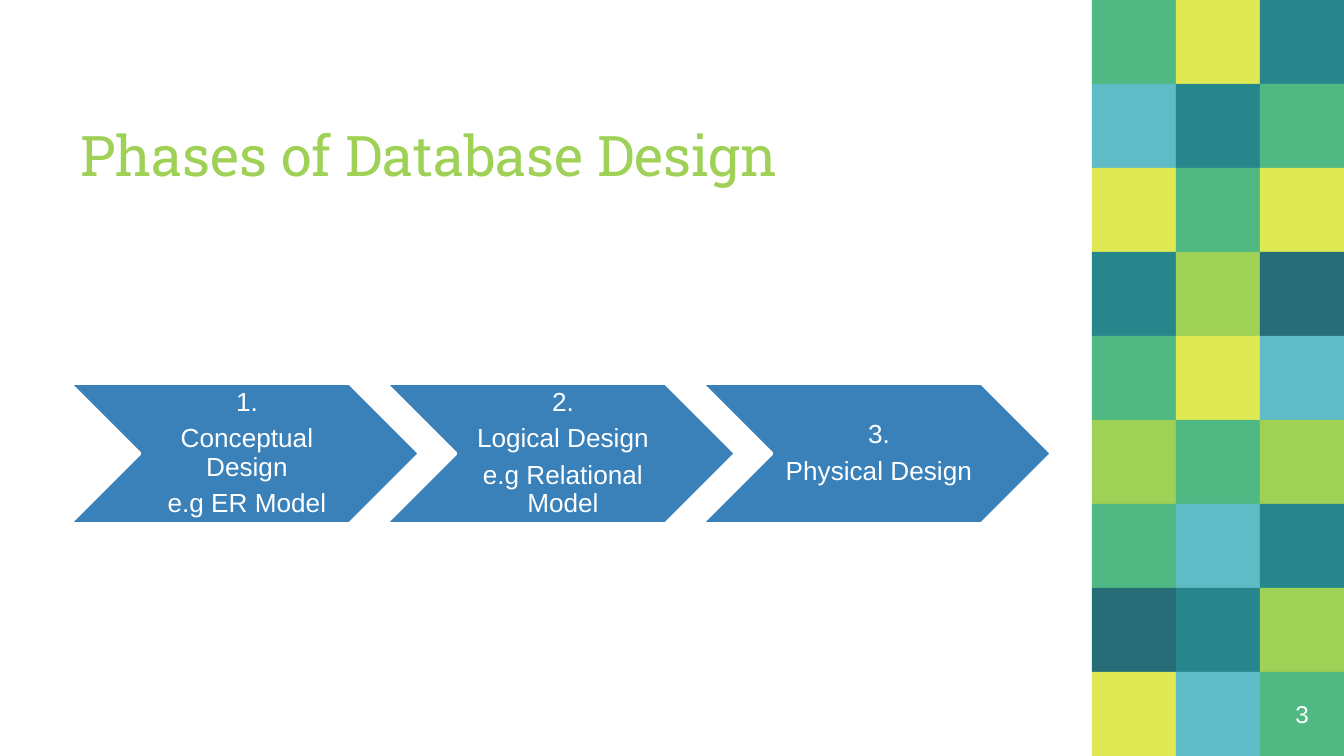
from dataclasses import dataclass

from pptx import Presentation
from pptx.dml.color import RGBColor
from pptx.enum.shapes import MSO_SHAPE
from pptx.enum.text import MSO_ANCHOR, MSO_AUTO_SIZE, PP_ALIGN
from pptx.util import Emu, Pt

RECT, CHEVRON = MSO_SHAPE.RECTANGLE, MSO_SHAPE.CHEVRON
LEFT, CENTER = PP_ALIGN.LEFT, PP_ALIGN.CENTER
MIDDLE, BOTTOM = MSO_ANCHOR.MIDDLE, MSO_ANCHOR.BOTTOM
FIXED = MSO_AUTO_SIZE.NONE

SCALE = 914400 / 134.4  # EMU in one px
WIDE, HIGH = 1344, 756


@dataclass(frozen=True)
class Theme:
    white: str = "FFFFFF"
    lime: str = "9ED155"
    dark: str = "266D78"
    yellow: str = "DFE954"
    green: str = "50B883"
    teal: str = "27868B"
    sky: str = "5FBBC5"
    blue: str = "3A81BA"
    head: str = "Roboto Slab"
    body: str = "Arial"
    title: int = 30
    step: int = 14
    number: int = 13


THEME = Theme()
TINTS = {"L": THEME.lime, "D": THEME.dark, "Y": THEME.yellow,
         "G": THEME.green, "T": THEME.teal, "B": THEME.sky}
TILES = ["GYT", "BTG", "YGY", "TLD", "GYB", "LGL", "GBT", "DTL", "YBG"]
STEPS = [
    ["1.", "Conceptual Design", "e.g ER Model"],
    ["2.", "Logical Design", "e.g Relational Model"],
    ["3.", "Physical Design"],
]


def px(n):
    return Emu(round(n * SCALE))


def add_box(slide, kind, box, fill, line=None):
    shape = slide.shapes.add_shape(kind, *map(px, box))
    shape.shadow.inherit = False
    shape.fill.solid()
    shape.fill.fore_color.rgb = RGBColor.from_string(fill)
    if line:
        shape.line.color.rgb = RGBColor.from_string(line)
        shape.line.width = Pt(2)
    else:
        shape.line.fill.background()
    return shape


def add_text(slide, box, lines, size, color=THEME.white, font=THEME.body,
             align=CENTER, anchor=MIDDLE, pad=(13, 13, 13, 13),
             lead=None, after=None, holder=None):
    """Write the lines into a holder, or into a new text box."""
    if holder is None:
        holder = slide.shapes.add_textbox(*map(px, box))
    else:
        holder.left, holder.top, holder.width, holder.height = map(px, box)
    frame = holder.text_frame
    frame.word_wrap, frame.auto_size = True, FIXED
    frame.vertical_anchor = anchor
    (frame.margin_left, frame.margin_top,
     frame.margin_right, frame.margin_bottom) = map(px, pad)
    for i, line in enumerate(lines):
        para = frame.add_paragraph() if i else frame.paragraphs[0]
        para.alignment = align
        if lead:
            para.line_spacing = lead
        if after:
            para.space_after = Pt(after)
        run = para.add_run()
        run.text = line
        run.font.name, run.font.size = font, Pt(size)
        run.font.color.rgb = RGBColor.from_string(color)


def add_tiles(slide, box, number):
    """Mosaic of square tiles, with the page number on the last one."""
    x, y, w, h = box
    tw, th = w // len(TILES[0]), h // len(TILES)
    for r, row in enumerate(TILES):
        for c, key in enumerate(row):
            tile = (x + c * tw, y + r * th, tw, th)
            add_box(slide, RECT, tile, TINTS[key])
    add_text(slide, tile, [number], THEME.number)


def add_title(slide, box, text):
    add_text(slide, box, [text], THEME.title, color=THEME.lime,
             font=THEME.head, align=LEFT, anchor=BOTTOM,
             holder=slide.shapes.title)


def add_steps(slide, box):
    """Row of overlapping chevrons, each with a centred label."""
    x, y, w, h = box
    wide = 351
    pitch = (w - wide) / (len(STEPS) - 1)
    notch = h // 2
    for i, lines in enumerate(STEPS):
        left = x + i * pitch
        add_box(slide, CHEVRON, (left, y, wide, h), THEME.blue, THEME.white)
        add_text(slide, (left + notch, y, wide - 2 * notch, h), lines,
                 THEME.step, pad=(8, 3, 3, 3), lead=0.9, after=4.6)


def main():
    deck = Presentation()
    deck.slide_width, deck.slide_height = px(WIDE), px(HIGH)
    slide = deck.slides.add_slide(deck.slide_layouts[5])  # title only
    add_tiles(slide, (1092, 0, 252, HIGH), "3")
    add_title(slide, (67, 75, 942, 126), "Phases of Database Design")
    add_steps(slide, (69, 383, 983, 141))
    deck.save("out.pptx")


if __name__ == "__main__":
    main()
